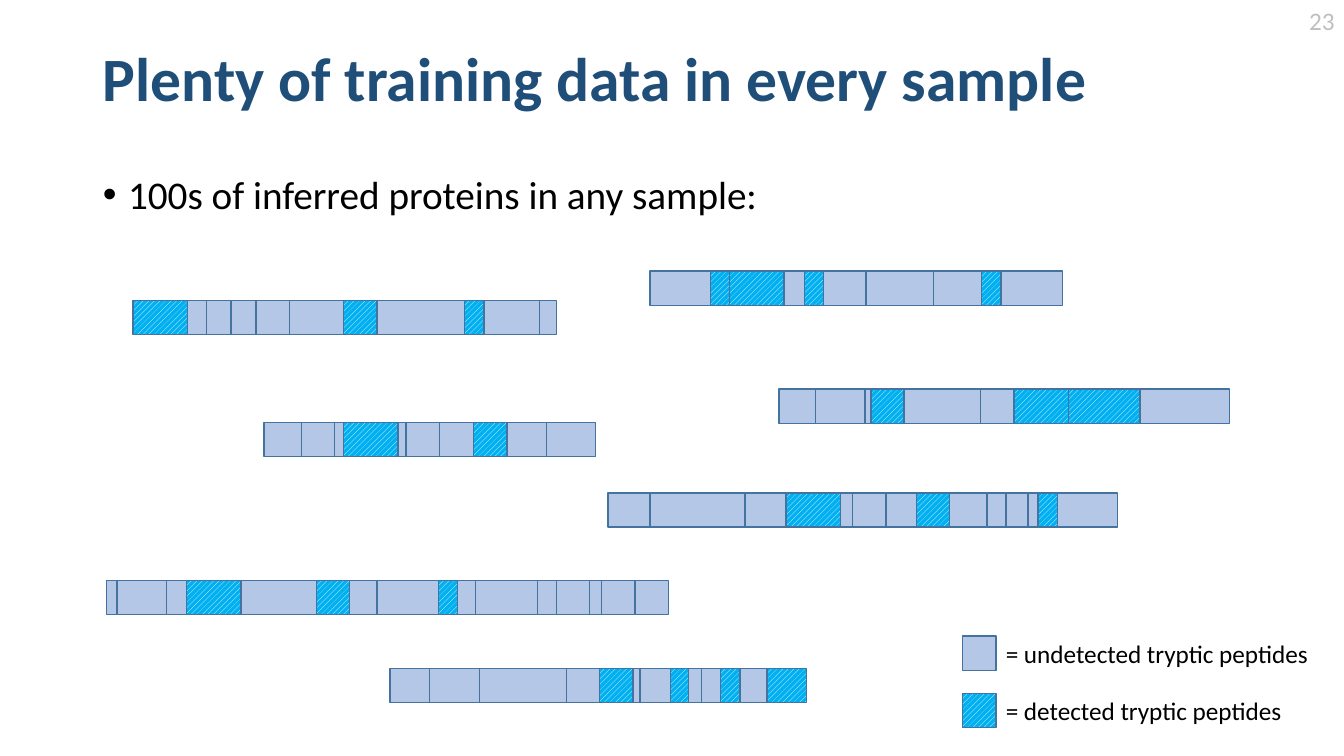
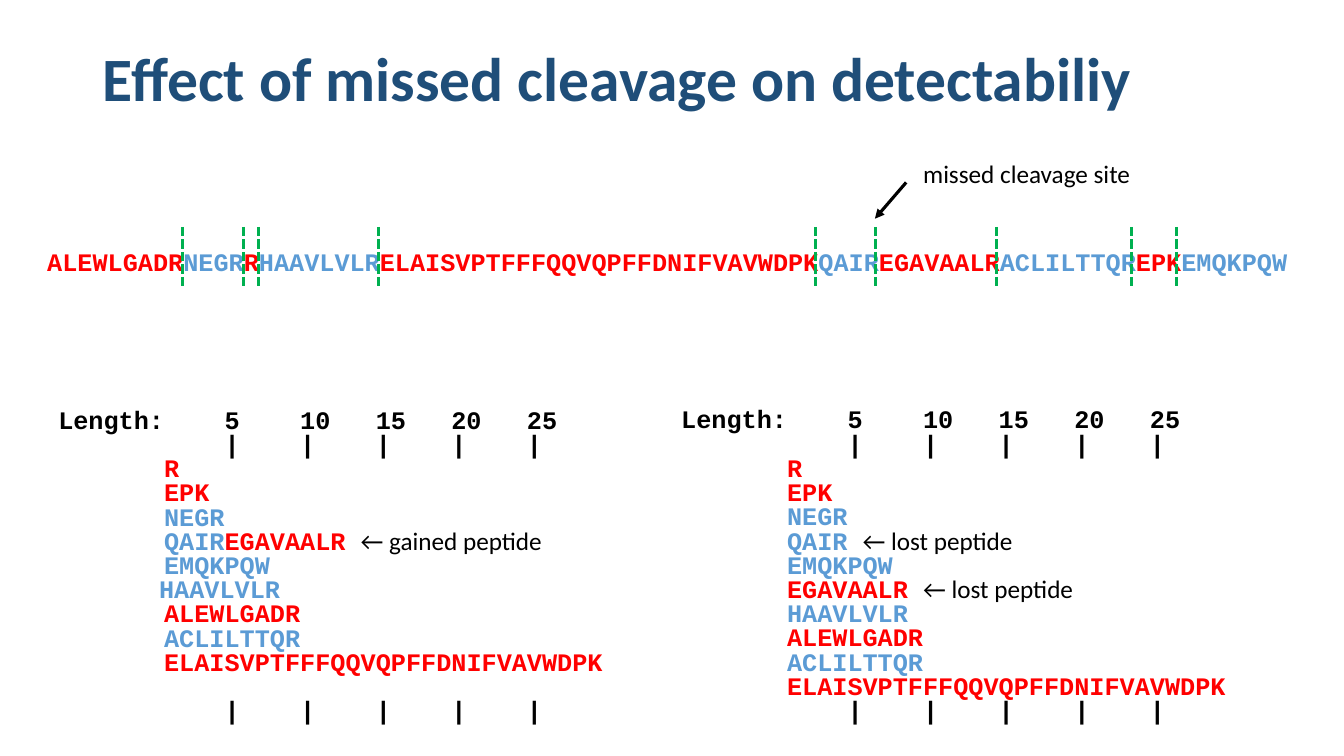
from dataclasses import dataclass
from itertools import accumulate, pairwise

from lxml.etree import SubElement
from pptx import Presentation
from pptx.dml.color import RGBColor
from pptx.enum.dml import MSO_LINE as Dash, MSO_PATTERN as Pat
from pptx.enum.shapes import MSO_CONNECTOR as Link, MSO_SHAPE as Form
from pptx.enum.text import MSO_ANCHOR as Anchor, MSO_AUTO_SIZE as Fit, PP_ALIGN as Align
from pptx.oxml.ns import qn
from pptx.util import Pt

PX = 9144  # one px is a hundredth of an inch


@dataclass(frozen=True)
class Theme:
    sans: str = "Calibri"
    mono: str = "Courier New"
    head: int = 44
    body: int = 28
    text: int = 18
    navy: str = "1F4E79"
    black: str = "000000"
    white: str = "FFFFFF"
    gray: str = "BFBFBF"
    pale: str = "B4C7E7"
    cyan: str = "00B0F0"
    edge: str = "43739E"
    red: str = "FF0000"
    blue: str = "5B9BD5"
    green: str = "00B050"


T = Theme()

# Content: proteins as (top, cuts between peptides, indices of detected ones)
BAR_H = 34
BARS = [
    (298, [132, 186, 205, 229, 254, 287, 341, 374, 461, 480, 535, 552], {0, 6, 8}),
    (269, [645, 705, 724, 778, 798, 817, 859, 926, 974, 993, 1054], {1, 2, 4, 8}),
    (386, [773, 809, 858, 864, 897, 973, 1006, 1060, 1131, 1220], {3, 6, 7}),
    (419, [262, 299, 332, 341, 395, 403, 436, 470, 503, 542, 591], {3, 7}),
    (489, [603, 645, 739, 780, 834, 846, 879, 909, 942, 979, 998, 1020, 1030,
           1049, 1109], {3, 7, 12}),
    (576, [106, 116, 165, 185, 239, 314, 347, 374, 435, 454, 472, 533, 552, 585,
           597, 630, 663], {3, 5, 8}),
    (663, [387, 426, 476, 562, 595, 628, 635, 665, 683, 696, 715, 734, 761, 800],
     {4, 7, 10, 12}),
]
KEYS = [("= undetected tryptic peptides", 324, False),
        ("= detected tryptic peptides", 297, True)]

# Content: the digested protein; peptides alternate in colour
LONG = "ELAISVPTFFFQQVQPFFDNIFVAVWDPK"
CHAIN = ["ALEWLGADR", "NEGR", "R", "HAAVLVLR", LONG, "QAIR", "EGAVAALR",
         "ACLILTTQR", "EPK", "EMQKPQW"]
INK = {pep: (T.red, T.blue)[i % 2] for i, pep in enumerate(CHAIN)}
SITE_X, SITE_STEP = 47, 14.94

# Content: peptides by length, as (peptides, note, indent)
CHAR = 15
DENT = 7 * CHAR
MARKS = range(5, 30, 5)
LOST = "← lost peptide"
LISTS = [
    (666, 0, [(["R"], "", DENT), (["EPK"], "", DENT), (["NEGR"], "", DENT),
              (["QAIR"], LOST, DENT), (["EMQKPQW"], "", DENT),
              (["EGAVAALR"], LOST, DENT), (["HAAVLVLR"], "", DENT),
              (["ALEWLGADR"], "", DENT), (["ACLILTTQR"], "", DENT),
              ([LONG], "", DENT)]),
    (48, 17, [(["R"], "", DENT), (["EPK"], "", DENT), (["NEGR"], "", DENT),
              (["QAIR", "EGAVAALR"], "← gained peptide", DENT),
              (["EMQKPQW"], "", DENT), (["HAAVLVLR"], "", 100),
              (["ALEWLGADR"], "", DENT), (["ACLILTTQR"], "", DENT),
              ([LONG], "", DENT)]),
]


def emu(*vals):
    return [round(v * PX) for v in vals]


def style(run, color=T.black, font=T.sans, size=T.text, bold=False):
    run.font.name, run.font.size, run.font.bold = font, Pt(size), bold
    run.font.color.rgb = RGBColor.from_string(color)


def add_run(par, text, **look):
    run = par.add_run()
    run.text = text
    style(run, **look)


def place(shape, *box):
    shape.left, shape.top, shape.width, shape.height = emu(*box)


def add_box(slide, box, wrap=True, anchor=Anchor.TOP):
    frame = slide.shapes.add_textbox(*emu(*box)).text_frame
    frame.word_wrap, frame.vertical_anchor = wrap, anchor
    frame.auto_size = Fit.SHAPE_TO_FIT_TEXT
    return frame


def add_label(slide, text, box, wrap=True, color=T.black):
    frame = add_box(slide, box, wrap)
    frame.text = text
    style(frame.paragraphs[0].runs[0], color)
    return frame.paragraphs[0]


def add_slide(deck, layout, title):
    slide = deck.slides.add_slide(deck.slide_layouts[layout])
    head = slide.shapes.title
    place(head, 92, 8, 1150, 145)
    frame = head.text_frame
    frame.text = title
    frame.auto_size, frame.vertical_anchor = Fit.NONE, Anchor.MIDDLE
    par = frame.paragraphs[0]
    par.alignment, par.line_spacing = Align.LEFT, 0.9
    style(par.runs[0], T.navy, size=T.head, bold=True)
    return slide


def add_cell(shapes, box, hit):
    cell = shapes.add_shape(Form.RECTANGLE, *emu(*box))
    cell.shadow.inherit = False
    if hit:
        cell.fill.patterned()
        cell.fill.pattern = Pat.WIDE_UPWARD_DIAGONAL
        cell.fill.fore_color.rgb = RGBColor.from_string(T.white)
        cell.fill.back_color.rgb = RGBColor.from_string(T.cyan)
    else:
        cell.fill.solid()
        cell.fill.fore_color.rgb = RGBColor.from_string(T.pale)
    cell.line.color.rgb = RGBColor.from_string(T.edge)
    cell.line.width = Pt(1)


def add_line(shapes, ends, color, dash=None, arrow=False):
    link = shapes.add_connector(Link.STRAIGHT, *emu(*ends))
    link.line.color.rgb = RGBColor.from_string(color)
    link.line.width = Pt(2.25)
    if dash:
        link.line.dash_style = dash
    if arrow:
        SubElement(link.line._get_or_add_ln(), qn("a:tailEnd"), type="triangle")
    SubElement(link._element.spPr, qn("a:effectLst"))


def set_dent(par, left, first=0):
    props = par._p.get_or_add_pPr()
    props.set("marL", str(left * PX))
    props.set("indent", str(first * PX))


def set_tabs(par):
    tabs = SubElement(par._p.get_or_add_pPr(), qn("a:tabLst"))
    for mark in MARKS:
        SubElement(tabs, qn("a:tab"), pos=str((mark + 6) * CHAR * PX), algn="l")


def add_list(slide, left, gap, rows):
    frame = add_box(slide, (left, 399, 654, 327), anchor=Anchor.MIDDLE)
    look = dict(font=T.mono, bold=True)

    def next_par():
        par = frame.paragraphs[0]
        if par.runs:
            par = frame.add_paragraph()
        par.line_spacing = 0.8
        return par

    def add_rule(text):
        par = next_par()
        set_tabs(par)
        add_run(par, text, **look)
        return par

    ticks = "\t|" * len(MARKS)
    add_rule("\t".join(["Length:", *map(str, MARKS)]))
    add_rule(ticks)
    for peps, note, dent in rows:
        par = next_par()
        set_dent(par, dent)
        for pep in peps:
            tail = " " if note and pep == peps[-1] else ""
            add_run(par, pep + tail, color=INK[pep], **look)
        if note:
            add_run(par, note)
    add_rule(ticks).space_before = Pt(gap)


def build_data(deck):
    slide = add_slide(deck, 1, "Plenty of training data in every sample")

    # Bullet
    body = slide.placeholders[1]
    place(body, 92, 169, 1150, 501)
    body.text_frame.text = "100s of inferred proteins in any sample:"
    body.text_frame.auto_size = Fit.NONE
    par = body.text_frame.paragraphs[0]
    par.line_spacing, par.space_before = 0.9, Pt(10)
    set_dent(par, 25, -25)
    style(par.runs[0], size=T.body)

    # Proteins
    for top, cuts, hits in BARS:
        group = slide.shapes.add_group_shape()
        for i, (left, right) in enumerate(pairwise(cuts)):
            add_cell(group.shapes, (left, top, right - left, BAR_H), i in hits)

    # Legend and page number
    for i, (text, width, hit) in enumerate(KEYS):
        top = 631 + 57 * i
        add_cell(slide.shapes, (955, top, 33, BAR_H), hit)
        add_label(slide, text, (988, top - 3, width, 40), wrap=False)
    add_label(slide, "23", (1251, 0, 83, 40), color=T.gray).alignment = Align.RIGHT


def build_sites(deck):
    slide = add_slide(deck, 5, "Effect of missed cleavage on detectabiliy")

    # Protein chain
    frame = add_box(slide, (37, 239, 1256, 40), False, Anchor.MIDDLE)
    for pep in CHAIN:
        add_run(frame.paragraphs[0], pep, color=INK[pep], font=T.mono, bold=True)

    # Cleavage sites after every peptide but the last
    group = slide.shapes.add_group_shape()
    for count in accumulate(map(len, CHAIN[:-1])):
        x = SITE_X + SITE_STEP * count
        add_line(group.shapes, (x, 225, x, 287), T.green, dash=Dash.SQUARE_DOT)

    # Missed site
    add_line(slide.shapes, (899, 181, 868, 217), T.black, arrow=True)
    add_label(slide, "missed cleavage site", (906, 152, 318, 40))

    # Peptides by length
    for left, gap, rows in LISTS:
        add_list(slide, left, gap, rows)


def main():
    deck = Presentation()
    deck.slide_width, deck.slide_height = emu(1333.33, 750)
    build_data(deck)
    build_sites(deck)
    deck.save("out.pptx")


if __name__ == "__main__":
    main()
